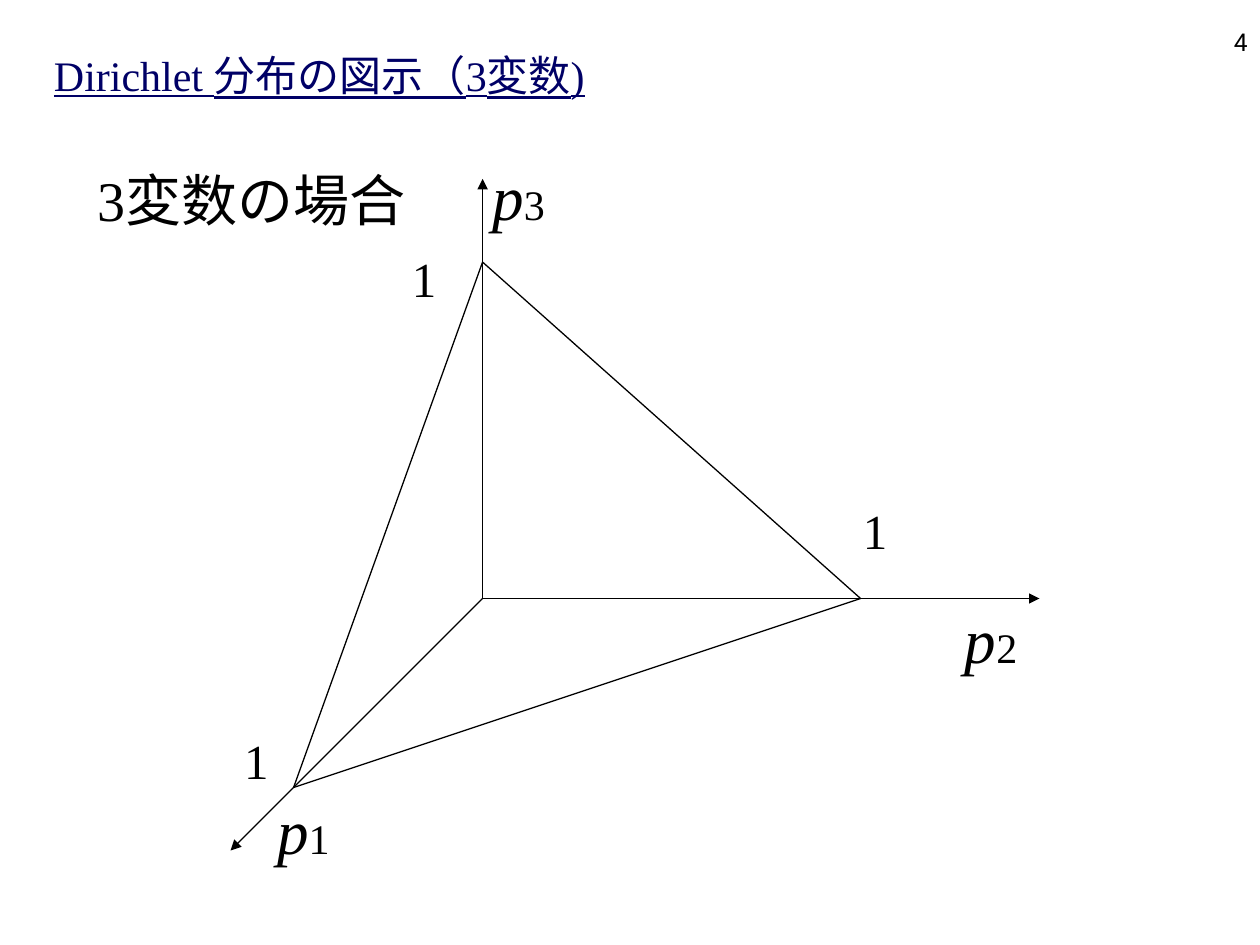
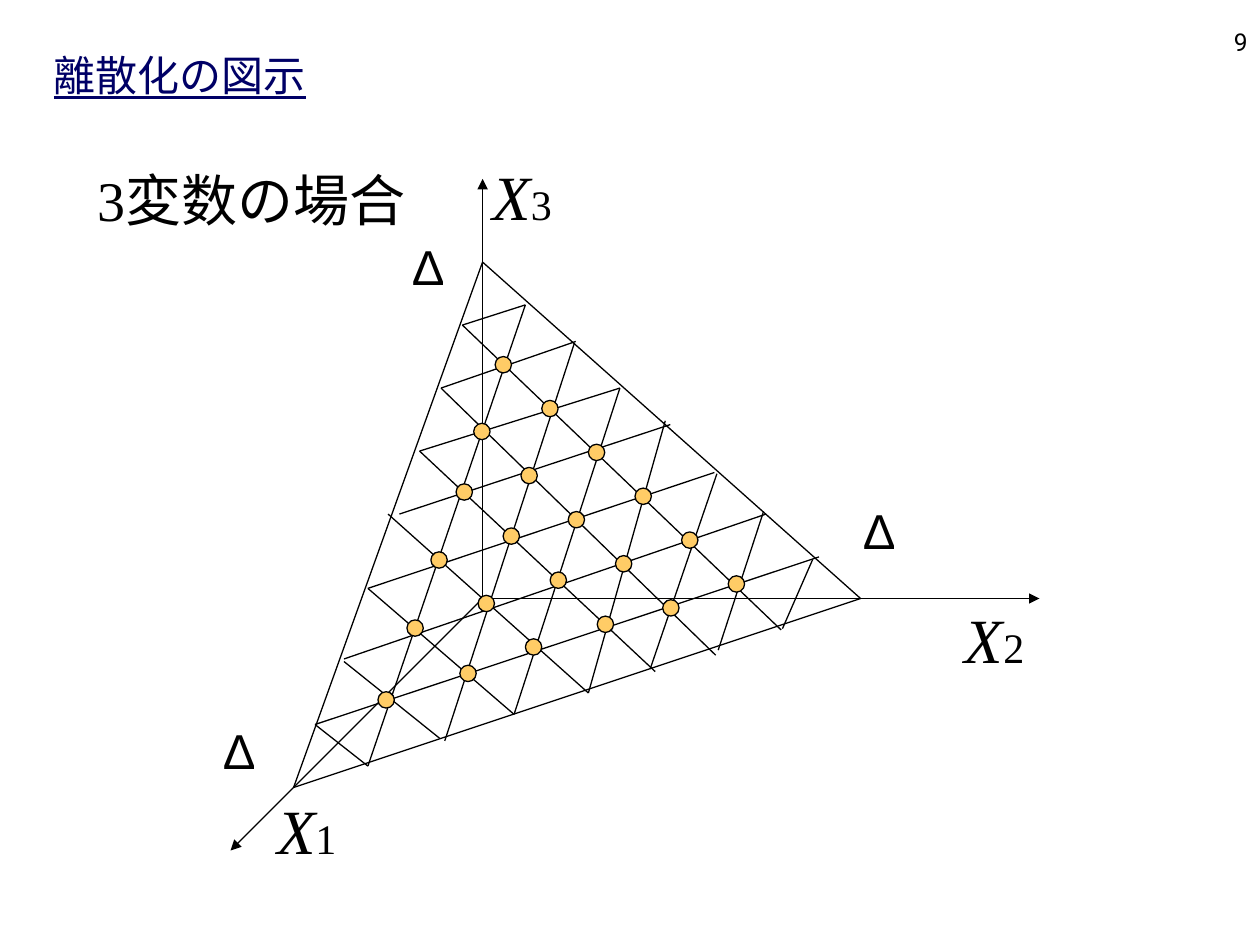
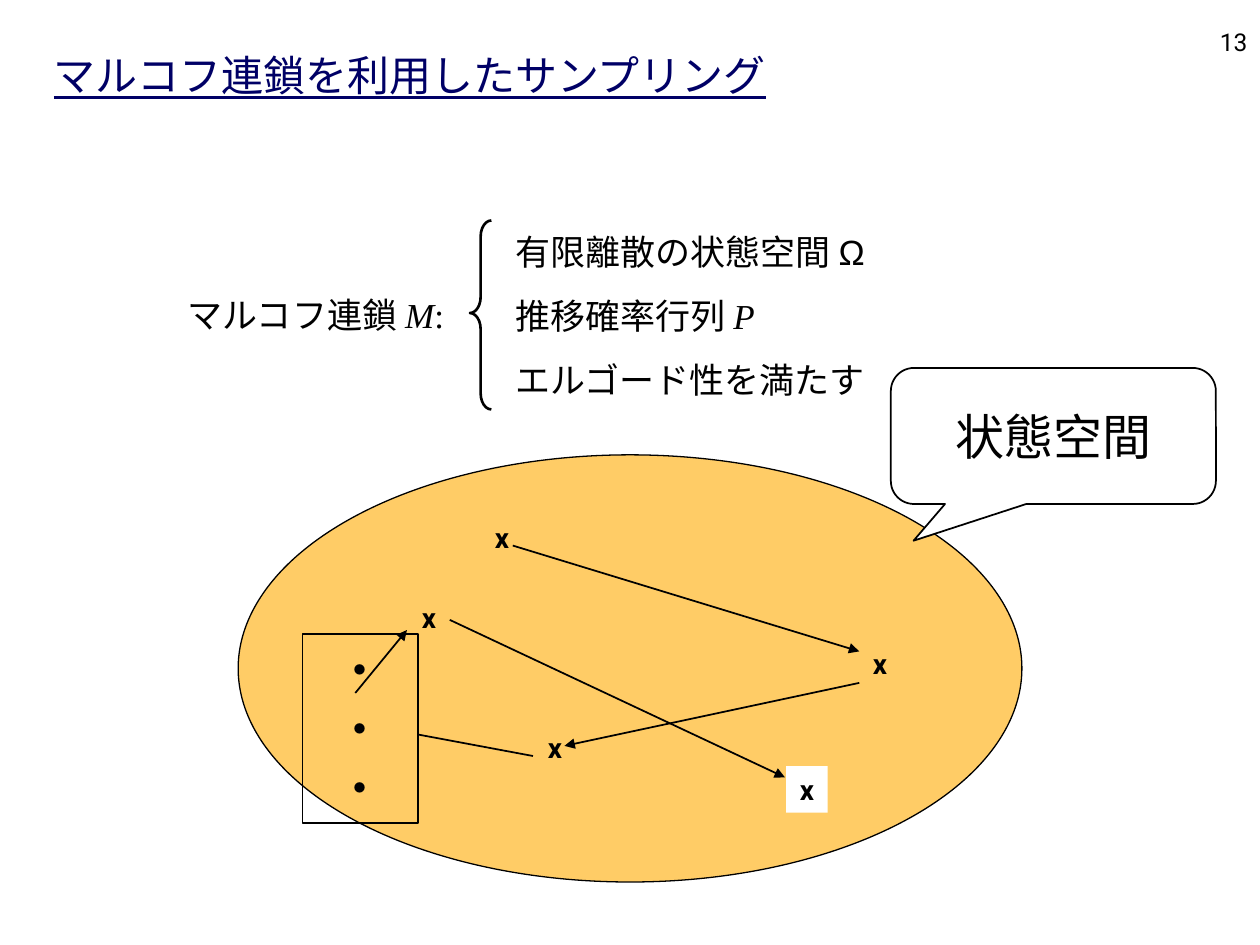
import pptx
import pptx.dml.color
import pptx.enum.shapes
import pptx.enum.text
import pptx.oxml
import pptx.oxml.ns
import pptx.util

Inches = pptx.util.Inches
Pt = pptx.util.Pt
Shape = pptx.enum.shapes.MSO_SHAPE
Anchor = pptx.enum.text.MSO_ANCHOR
Align = pptx.enum.text.PP_ALIGN
AutoSize = pptx.enum.text.MSO_AUTO_SIZE

COLORS = {"ink": "000000", "title": "000066", "orange": "FFCC66", "white": "FFFFFF"}
SERIF, SANS, SYMBOL, JAPANESE = "Times New Roman", "Roboto", "Arial", "Noto Sans CJK JP"

ORIGIN = (3.83, 4.75)
AXIS_ENDS = [(3.83, 1.42), (1.83, 6.75), (8.25, 4.75)]
TRIANGLE = [(3.83, 2.08), (2.33, 6.25), (6.83, 4.75)]
AXIS_LABELS = [(2.1, 6.23, "1"), (7.56, 4.72, "2"), (3.81, 1.2, "3")]
AXIS_LABEL_WIDTH = 0.72

DIAGRAMS = [
    {"title": "Dirichlet 分布の図示（3変数)", "number": "4", "variable": "p",
     "case_font": SANS, "mark": "1", "mark_font": SERIF,
     "marks": [(6.75, 3.92), (3.17, 1.92), (1.84, 5.75)]},
    {"title": "離散化の図示", "number": "9", "variable": "X",
     "case_font": JAPANESE, "mark": "Δ", "mark_font": SYMBOL,
     "marks": [(6.75, 3.92), (3.17, 1.83), (1.67, 5.67)]},
]

LATTICE_LINES = [
    (3.67, 2.58, 4.17, 2.42), (3.5, 3.08, 4.57, 2.71), (3.33, 3.58, 4.92, 3.08),
    (3.17, 4.08, 5.32, 3.37), (2.92, 4.67, 5.67, 3.75), (2.73, 5.23, 6.08, 4.08),
    (2.5, 5.75, 6.5, 4.42),
    (2.5, 5.75, 2.92, 6.08), (2.73, 5.25, 3.49, 5.86), (2.92, 4.67, 4.08, 5.67),
    (3.08, 4.08, 4.67, 5.5), (3.33, 3.58, 5.2, 5.33), (3.5, 3.08, 5.68, 5.2),
    (3.67, 2.58, 6.2, 5),
    (4.17, 2.42, 2.92, 6.08), (4.56, 2.72, 3.53, 5.88), (4.92, 3.08, 4.08, 5.67),
    (5.28, 3.34, 4.67, 5.5), (5.69, 3.76, 5.16, 5.31), (6.06, 4.06, 5.7, 5.16),
    (6.45, 4.44, 6.21, 4.99),
]
DOT_SIZE = 0.13
DOT_ROWS = [
    (6, (3.93, 2.83), (5.78, 4.57)), (5, (3.76, 3.36), (5.26, 4.76)),
    (4, (3.62, 3.84), (4.74, 4.89)), (3, (3.42, 4.38), (4.17, 5.07)),
    (2, (3.23, 4.92), (3.65, 5.28)), (1, (3, 5.49), (3, 5.49)),
]

CHAIN_TITLE, CHAIN_NUMBER = "マルコフ連鎖を利用したサンプリング", "13"
CHAIN_NAME = [[("マルコフ連鎖 ", {}), ("M", {"italic": True}), (":", {})]]
CHAIN_PROPERTIES = [
    [("有限離散の状態空間 ", {}), ("Ω", {"name": SYMBOL})],
    [("推移確率行列 ", {}), ("P", {"italic": True})],
    [("エルゴード性を満たす", {})],
]
STATES = [(4.24, 5.75, None), (6.82, 5.08, None), (3.82, 4.08, None),
          (3.24, 4.72, None), (6.24, 6.08, "white")]
TRANSITIONS = [
    ((4.07, 4.33), (6.82, 5.17), True), ((6.82, 5.42), (4.48, 5.92), True),
    ((3.57, 4.92), (6.23, 6.17), True), ((4.23, 6), (3.32, 5.83), False),
    ((2.82, 5.5), (3.23, 5), True),
]


def color(name):
    return pptx.dml.color.RGBColor.from_string(COLORS[name])


def write(shape, paragraphs, size, font=SERIF, ink="ink", align=Align.LEFT,
          anchor=Anchor.TOP, wrap=True, space=0, **styles):
    frame = shape.text_frame
    frame.word_wrap = wrap
    frame.auto_size = AutoSize.NONE if wrap else AutoSize.SHAPE_TO_FIT_TEXT
    frame.vertical_anchor = anchor
    if isinstance(paragraphs, str):
        paragraphs = [[(paragraphs, {})]]
    for index, runs in enumerate(paragraphs):
        paragraph = frame.add_paragraph() if index else frame.paragraphs[0]
        paragraph.alignment = align
        if index:
            paragraph.space_before = Pt(space)
        paragraph.font.size = Pt(size)
        paragraph.font.name = font
        paragraph.font.color.rgb = color(ink)
        for name, value in styles.items():
            setattr(paragraph.font, name, value)
        for text, run_styles in runs:
            run = paragraph.add_run()
            run.text = text
            for name, value in run_styles.items():
                setattr(run.font, name, value)


def add_text(slide, box, paragraphs, size, fill=None, **options):
    shape = slide.shapes.add_textbox(*map(Inches, box))
    if fill:
        shape.fill.solid()
        shape.fill.fore_color.rgb = color(fill)
    write(shape, paragraphs, size, **options)


def add_shape(slide, kind, box, fill=None, width=0.75):
    shape = slide.shapes.add_shape(kind, *map(Inches, box))
    shape.shadow.inherit = False
    if fill:
        shape.fill.solid()
        shape.fill.fore_color.rgb = color(fill)
    else:
        shape.fill.background()
    shape.line.color.rgb = color("ink")
    shape.line.width = Pt(width)
    return shape


def add_line(slide, start, end, width=0.75, arrow=False):
    connector = slide.shapes.add_connector(
        pptx.enum.shapes.MSO_CONNECTOR.STRAIGHT, *map(Inches, (*start, *end)))
    connector.line.color.rgb = color("ink")
    connector.line.width = Pt(width)
    qualified = pptx.oxml.ns.qn
    if arrow:
        line = connector.line._get_or_add_ln()
        line.append(line.makeelement(qualified("a:tailEnd"), {"type": "triangle"}))
    properties = connector._element.spPr
    properties.append(properties.makeelement(qualified("a:effectLst"), {}))


def start_slide(presentation, title, number):
    slide = presentation.slides.add_slide(presentation.slide_layouts[6])
    add_text(slide, (0.33, 0.34, 8.52, 0.5), title, 24, ink="title",
             anchor=Anchor.BOTTOM, underline=True)
    add_text(slide, (7.92, 0, 2.08, 0.5), number, 14, font=SANS,
             align=Align.RIGHT, anchor=Anchor.BOTTOM)
    return slide


def add_diagram(presentation, diagram):
    slide = start_slide(presentation, diagram["title"], diagram["number"])
    for end in AXIS_ENDS:
        add_line(slide, ORIGIN, end, arrow=True)
    for index, corner in enumerate(TRIANGLE):
        add_line(slide, corner, TRIANGLE[(index + 1) % 3])
    for left, top, digit in AXIS_LABELS:
        runs = [(diagram["variable"], {"italic": True}), (digit, {"size": Pt(24)})]
        add_text(slide, (left, top, AXIS_LABEL_WIDTH, 0.7), [runs], 36)
    add_text(slide, (0.5, 1.26, 3, 0.64),
             [[("3", {}), ("変数の場合", {"name": diagram["case_font"]})]], 32,
             align=Align.CENTER, anchor=Anchor.MIDDLE)
    for left, top in diagram["marks"]:
        add_text(slide, (left, top, 0.5, 0.57), diagram["mark"], 28,
                 font=diagram["mark_font"])
    return slide


def add_lattice(slide):
    for x1, y1, x2, y2 in LATTICE_LINES:
        add_line(slide, (x1, y1), (x2, y2))
    for count, first, last in DOT_ROWS:
        for index in range(count):
            share = index / max(count - 1, 1)
            left, top = (a + share * (b - a) for a, b in zip(first, last))
            add_shape(slide, Shape.OVAL, (left, top, DOT_SIZE, DOT_SIZE), "orange")


def add_chain(presentation):
    slide = start_slide(presentation, CHAIN_TITLE, CHAIN_NUMBER)
    add_shape(slide, Shape.OVAL, (1.89, 3.61, 6.22, 3.39), "orange")
    for left, top, fill in STATES:
        add_text(slide, (left, top, 0.33, 0.37), "x", 16, fill, font=SANS,
                 align=Align.CENTER, wrap=False, bold=True)
    for start, end, arrow in TRANSITIONS:
        add_line(slide, start, end, 1, arrow)

    callout = add_shape(slide, Shape.ROUNDED_RECTANGULAR_CALLOUT,
                        (7.07, 2.92, 2.58, 1.08), "white", 1)
    for index, value in enumerate((-0.435, 0.768, 0.167)):
        callout.adjustments[index] = round(value, 2)
    omitted = add_shape(slide, Shape.RECTANGLE, (2.4, 5.03, 0.92, 1.5), width=1)
    for shape, text in ((callout, "状態空間"), (omitted, "・・・")):
        write(shape, text, 28, font=SANS, align=Align.CENTER, anchor=Anchor.MIDDLE)

    add_text(slide, (1.39, 2.28, 2.31, 0.44), CHAIN_NAME, 20,
             anchor=Anchor.MIDDLE, wrap=False)
    add_text(slide, (3.99, 1.78, 2.98, 1.45), CHAIN_PROPERTIES, 20,
             anchor=Anchor.MIDDLE, space=12.5)
    brace = add_shape(slide, Shape.LEFT_BRACE, (3.73, 1.75, 0.17, 1.5), width=1.5)
    brace.adjustments[0] = 0.75
    brace.adjustments[1] = 0.49


def main():
    presentation = pptx.Presentation()
    presentation.slide_width = Inches(10)
    presentation.slide_height = Inches(7.5)
    simplex, discrete = DIAGRAMS
    add_diagram(presentation, simplex)
    add_lattice(add_diagram(presentation, discrete))
    add_chain(presentation)
    presentation.save("out.pptx")


if __name__ == "__main__":
    main()
